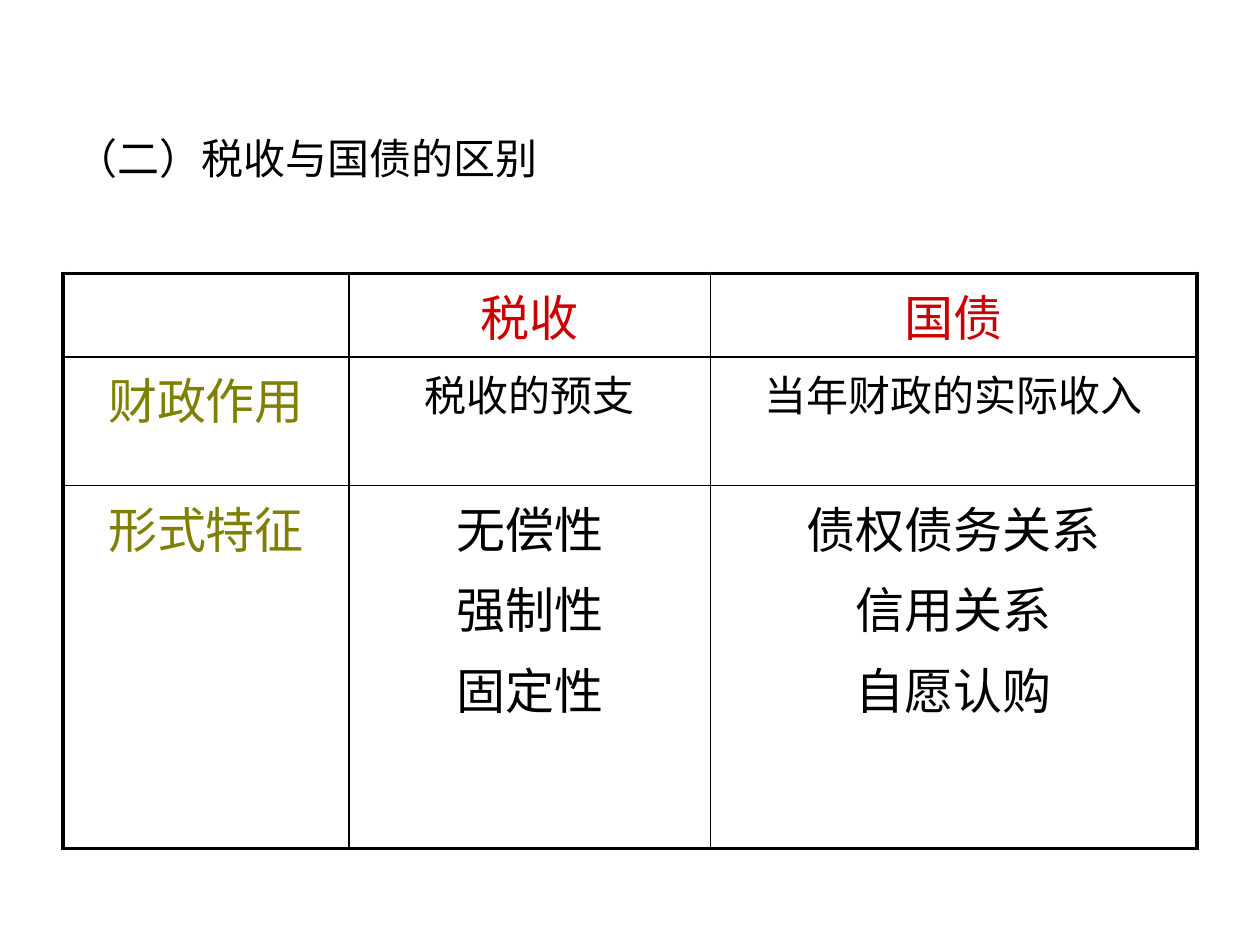
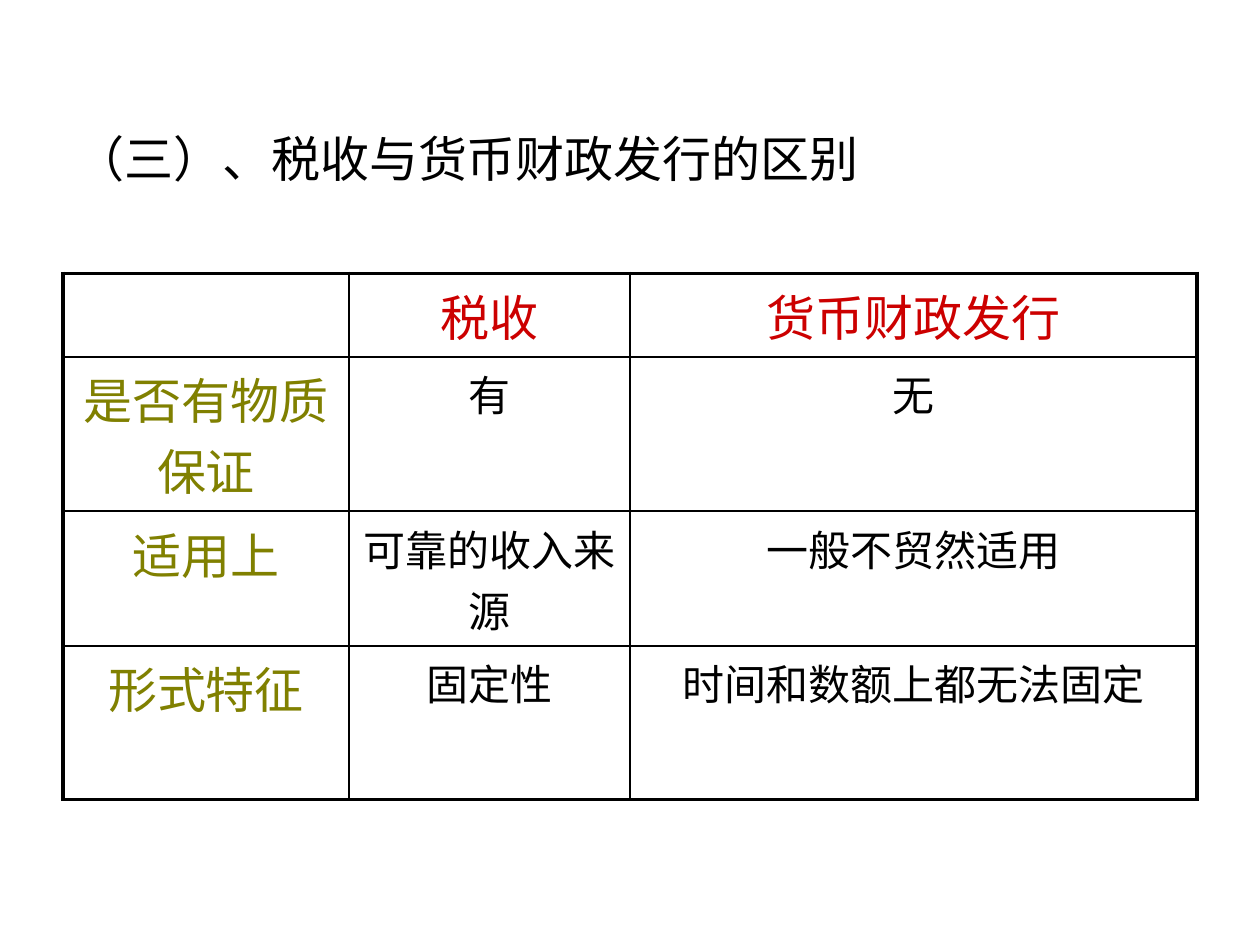
from lxml.etree import SubElement
from pptx import Presentation
from pptx.dml.color import RGBColor
from pptx.enum.lang import MSO_LANGUAGE_ID
from pptx.enum.text import MSO_ANCHOR, PP_ALIGN
from pptx.oxml.ns import qn
from pptx.util import Inches, Pt

COLORS = {"text": "000000", "column": "CC0000", "row": "808000", "border": "000000"}
FONT = "Arial"
LARGE, SMALL = 28, 24
OUTER, INNER = 2.25, 1
LEFT, WIDTH = 0.5, 9


def write_text(tf, text, size=LARGE, color="text", align=PP_ALIGN.LEFT):
    """Write one paragraph per line of text."""
    for i, line in enumerate(text.split("\n")):
        p = tf.paragraphs[0] if i == 0 else tf.add_paragraph()
        p.alignment = align
        p.space_before = Pt(0.2 * size if i else 0)
        r = p.add_run()
        r.text = line
        r.font.name = FONT
        r.font.size = Pt(size)
        r.font.color.rgb = RGBColor.from_string(COLORS[color])
        r.font.language_id = MSO_LANGUAGE_ID.SIMPLIFIED_CHINESE


def set_borders(cell, **widths):
    """Draw the cell sides L, R, T and B in the given point widths."""
    tc_pr = cell._tc.get_or_add_tcPr()
    for side, width in widths.items():
        ln = SubElement(tc_pr, qn(f"a:ln{side}"), w=str(Pt(width)))
        fill = SubElement(ln, qn("a:solidFill"))
        SubElement(fill, qn("a:srgbClr"), val=COLORS["border"])


class Deck:
    def __init__(self):
        self.prs = Presentation()
        self.prs.slide_width, self.prs.slide_height = Inches(10), Inches(7.5)
        self.slide = None

    def add_slide(self, title, size):
        self.slide = self.prs.slides.add_slide(self.prs.slide_layouts[5])
        sp = self.slide.shapes.title
        sp.left, sp.top = Inches(LEFT), Inches(0.5)
        sp.width, sp.height = Inches(WIDTH), Inches(1.5)
        tf = sp.text_frame
        tf.word_wrap = True
        tf.vertical_anchor = MSO_ANCHOR.MIDDLE
        write_text(tf, title, size=size)

    def add_comparison(self, rows, col_widths, row_heights):
        """Add a table with red column heads and olive row heads.

        A body cell with several lines is set in the large size.
        """
        n_rows, n_cols = len(rows), len(col_widths)
        table = self.slide.shapes.add_table(
            n_rows, n_cols, Inches(LEFT), Inches(2.17),
            Inches(WIDTH), Inches(sum(row_heights))).table
        table.first_row = table.horz_banding = False
        for column, width in zip(table.columns, col_widths):
            column.width = Inches(width)
        for row, height in zip(table.rows, row_heights):
            row.height = Inches(height)
        for i, texts in enumerate(rows):
            for j, text in enumerate(texts):
                cell = table.cell(i, j)
                set_borders(cell,
                            L=OUTER if j == 0 else INNER,
                            R=OUTER if j == n_cols - 1 else INNER,
                            T=OUTER if i == 0 else INNER,
                            B=OUTER if i == n_rows - 1 else INNER)
                cell.fill.background()
                color = "column" if i == 0 else "row" if j == 0 else "text"
                large = color != "text" or "\n" in text
                if text:
                    write_text(cell.text_frame, text, size=LARGE if large else SMALL,
                               color=color, align=PP_ALIGN.CENTER)


def main():
    deck = Deck()

    deck.add_slide("（二）税收与国债的区别", SMALL)
    deck.add_comparison(
        [("", "税收", "国债"),
         ("财政作用", "税收的预支", "当年财政的实际收入"),
         ("形式特征", "无偿性\n强制性\n固定性", "债权债务关系\n信用关系\n自愿认购")],
        col_widths=(2.27, 2.87, 3.86), row_heights=(0.66, 1.02, 2.88))

    deck.add_slide("（三）、税收与货币财政发行的区别", LARGE)
    deck.add_comparison(
        [("", "税收", "货币财政发行"),
         ("是否有物质保证", "有", "无"),
         ("适用上", "可靠的收入来源", "一般不贸然适用"),
         ("形式特征", "固定性", "时间和数额上都无法固定")],
        col_widths=(2.27, 2.23, 4.5), row_heights=(0.66, 1.22, 1.07, 1.22))

    deck.prs.save("out.pptx")


if __name__ == "__main__":
    main()
